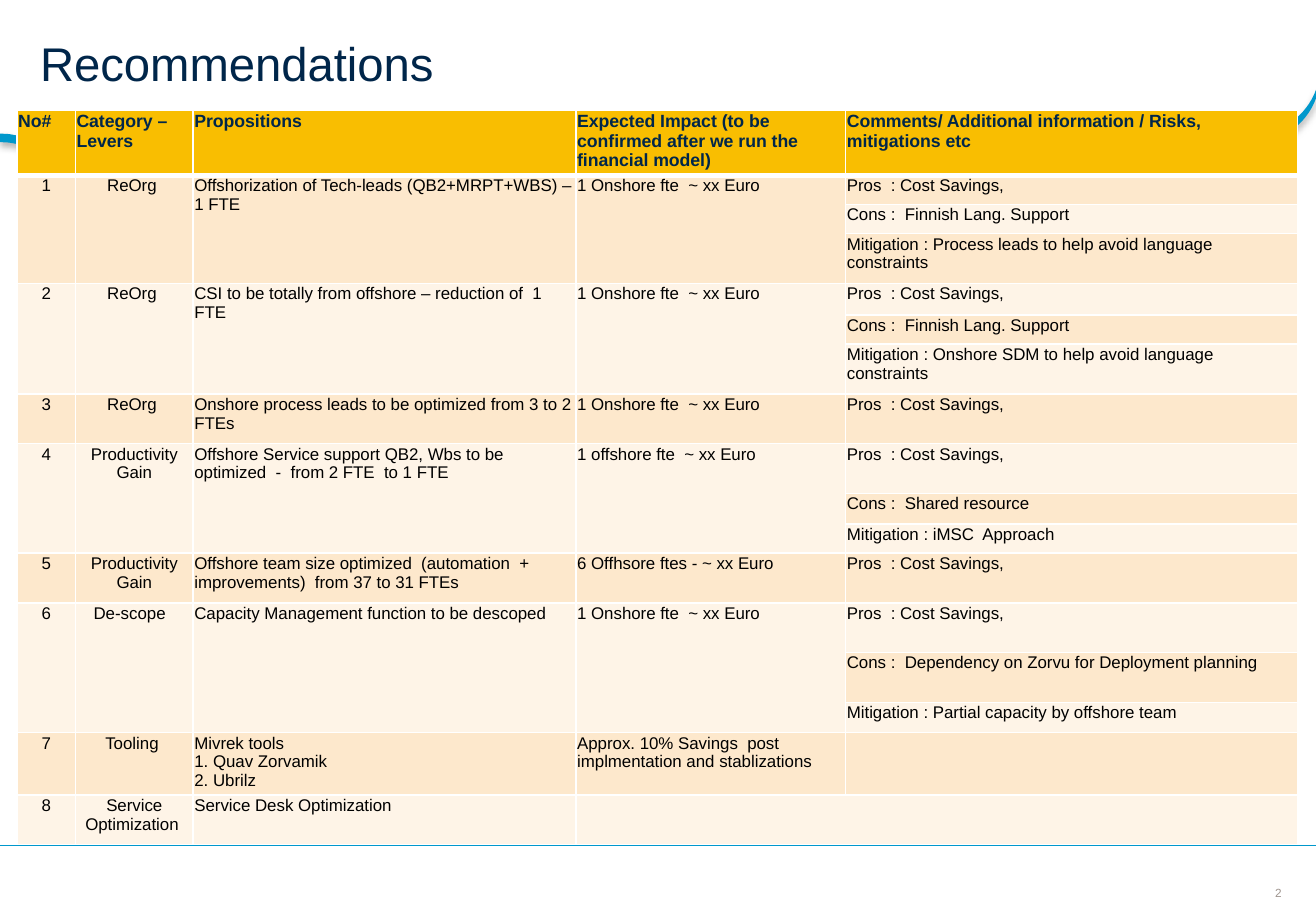
"""Build the Recommendations slide with its table of propositions."""
from dataclasses import dataclass
from typing import NamedTuple

from lxml.etree import SubElement
from pptx import Presentation
from pptx.dml.color import RGBColor
from pptx.enum.text import MSO_ANCHOR as Anchor, PP_ALIGN as Align
from pptx.oxml.ns import qn
from pptx.util import Inches, Pt

NAVY = RGBColor(0x00, 0x26, 0x4A)
BLUE = RGBColor(0x00, 0x98, 0xCC)
GOLD = RGBColor(0xF9, 0xBE, 0x01)
PEACH = RGBColor(0xFD, 0xE8, 0xCC)
CREAM = RGBColor(0xFE, 0xF4, 0xE7)
BLACK = RGBColor(0, 0, 0)
WHITE = RGBColor(0xFF, 0xFF, 0xFF)
GREY = RGBColor(0x9F, 0x95, 0x8F)
FONT = "Arial"
WIDTH, HEIGHT = 10.83, 7.5
COLUMNS = [0.48, 0.97, 3.15, 2.22, 3.72]
ROWS = [0.41, 0.24, 0.24, 0.41, 0.26, 0.24, 0.41, 0.41, 0.41,
        0.25, 0.24, 0.41, 0.41, 0.41, 0.25, 0.41, 0.41]
HEADERS = ["No#", "Category – Levers", "Propositions",
           "Expected Impact (to be confirmed after we run the financial model)",
           "Comments/ Additional information / Risks, mitigations etc"]
ONSHORE = "1 Onshore fte  ~ xx Euro"
PROS = "Pros  : Cost Savings,"
FINNISH = "Cons :  Finnish Lang. Support"


class Proposition(NamedTuple):
    category: str
    proposal: str
    impact: str
    comments: tuple[str, ...]


@dataclass
class Label:
    text: str
    left: float
    top: float
    width: float
    height: float
    size: float
    color: RGBColor
    align: Align
    margins: tuple[float, float, float, float]
    wrap: bool
    spacing: float


class Curve(NamedTuple):
    points: tuple[tuple[float, float], ...]

    def sample(self, steps: int = 16) -> list[tuple[float, float]]:
        weights = [((1 - t) ** 3, 3 * t * (1 - t) ** 2, 3 * t * t * (1 - t), t ** 3)
                   for t in (step / steps for step in range(steps + 1))]
        return [tuple(sum(w * point[axis] for w, point in zip(weight, self.points))
                      for axis in (0, 1)) for weight in weights]


PROPOSITIONS = [
    Proposition("ReOrg ", "Offshorization of Tech-leads (QB2+MRPT+WBS) – 1 FTE", ONSHORE,
                (PROS, FINNISH,
                 "Mitigation : Process leads to help avoid language constraints")),
    Proposition("ReOrg ", "CSI to be totally from offshore – reduction of  1 FTE", ONSHORE,
                (PROS, FINNISH,
                 "Mitigation : Onshore SDM to help avoid language constraints")),
    Proposition("ReOrg ", "Onshore process leads to be optimized from 3 to 2 FTEs",
                ONSHORE, (PROS,)),
    Proposition("Productivity Gain",
                "Offshore Service support QB2, Wbs to be optimized  -  from 2 FTE  to 1 FTE",
                "1 offshore fte  ~ xx Euro",
                (PROS, "Cons :  Shared resource", "Mitigation : iMSC  Approach")),
    Proposition("Productivity Gain",
                "Offshore team size optimized  (automation  + improvements)  from 37 to 31 FTEs",
                "6 Offhsore ftes - ~ xx Euro", (PROS,)),
    Proposition("De-scope  ", "Capacity Management function to be descoped", ONSHORE,
                (PROS, "Cons :  Dependency on Zorvu for Deployment planning",
                 "Mitigation : Partial capacity by offshore team")),
    Proposition("Tooling ", "Mivrek tools   \n1. Quav Zorvamik \n2. Ubrilz",
                "Approx. 10% Savings  post implmentation and stablizations", ("",)),
    Proposition("Service Optimization ", "Service Desk Optimization", "", ("",)),
]
LABELS = [
    Label("2", 10.46, 7.29, 0.12, 0.12, 7, GREY, Align.CENTER, (0, 0, 0, 0), False, 1.0),
    Label("Recommendations", 0, 0, WIDTH, 1.1, 28, NAVY, Align.LEFT,
          (0.33, 0.04, 0.18, 0.04), True, 0.85),
]
RIBBON = [
    Curve(((0, 1.1), (0.41, 1.1), (0.52, 1.47), (0.52, 1.47))),
    Curve(((0.52, 1.47), (0.52, 1.47), (0.64, 1.1), (1.05, 1.1))),
    Curve(((10.3, 1.1), (10.72, 1.1), (10.83, 0.74), (10.83, 0.74))),
]
RIBBON_DEPTH = 0.07


def style_span(span, size: float, color: RGBColor, bold: bool = False) -> None:
    span.font.name, span.font.size, span.font.bold = FONT, Pt(size), bold
    span.font.color.rgb = color


def add_label(page, label: Label) -> None:
    box = page.shapes.add_textbox(*map(Inches, (label.left, label.top, label.width, label.height)))
    frame = box.text_frame
    frame.word_wrap, frame.vertical_anchor = label.wrap, Anchor.MIDDLE
    (frame.margin_left, frame.margin_top,
     frame.margin_right, frame.margin_bottom) = map(Inches, label.margins)
    para = frame.paragraphs[0]
    para.text, para.alignment, para.line_spacing = label.text, label.align, label.spacing
    style_span(para.runs[0], label.size, label.color)


def add_ribbon(page) -> None:
    upper = [point for curve in RIBBON for point in curve.sample()]
    lower = [(x, y + RIBBON_DEPTH) for x, y in reversed(upper)]
    outline = [(Inches(x), Inches(y)) for x, y in upper + lower]
    builder = page.shapes.build_freeform(*outline[0])
    builder.add_line_segments(outline[1:], close=True)
    ribbon = builder.convert_to_shape()
    ribbon.fill.solid()
    ribbon.fill.fore_color.rgb = BLUE
    ribbon.line.fill.background()
    ribbon.shadow.inherit = False
    effects = ribbon._element.spPr.find(qn("a:effectLst"))
    shadow = SubElement(effects, qn("a:outerShdw"), blurRad=str(Pt(4)), dist=str(Pt(2)),
                        dir="5400000", algn="t", rotWithShape="0")
    tint = SubElement(shadow, qn("a:srgbClr"), val=str(BLACK))
    SubElement(tint, qn("a:alpha"), val="31000")


def add_rule(page, y: float) -> None:
    rule = page.shapes.add_connector(1, Inches(WIDTH), Inches(y), 0, Inches(y))
    rule.line.color.rgb, rule.line.width = BLUE, Pt(0.75)
    SubElement(rule._element.spPr, qn("a:effectLst"))


def style_cell(cell, row: int) -> None:
    cell.margin_left = cell.margin_top = cell.margin_right = Inches(0.01)
    cell.margin_bottom = 0
    thick = {0: "B", 1: "T"}.get(row)
    for side in "LRTB":
        edge = SubElement(cell._tc.get_or_add_tcPr(), qn(f"a:ln{side}"),
                          w=str(Pt(3 if side == thick else 1)))
        SubElement(SubElement(edge, qn("a:solidFill")), qn("a:srgbClr"), val=str(WHITE))
    cell.fill.solid()
    cell.fill.fore_color.rgb = GOLD if row == 0 else PEACH if row % 2 else CREAM
    para = cell.text_frame.paragraphs[0]
    if not para.runs:
        SubElement(para._p, qn("a:endParaRPr"), sz="1000")


def write_cell(cell, text: str, header: bool = False, centred: bool = False) -> None:
    para = cell.text_frame.paragraphs[0]
    para.text = text
    para.alignment = Align.CENTER if centred else Align.LEFT
    for span in para.runs:
        style_span(span, 10.5 if header else 10, NAVY if header else BLACK, header)
    for line_break in para._p.findall(qn("a:br")):
        SubElement(line_break, qn("a:rPr"), sz="1000")


def add_propositions(page) -> None:
    table = page.shapes.add_table(len(ROWS), len(COLUMNS), Inches(0.14), Inches(0.91),
                                  Inches(sum(COLUMNS)), Inches(sum(ROWS))).table
    table.horz_banding = False
    for column, width in zip(table.columns, COLUMNS):
        column.width = Inches(width)
    for line, height in zip(table.rows, ROWS):
        line.height = Inches(height)
    for column, text in enumerate(HEADERS):
        write_cell(table.cell(0, column), text, header=True)
    row = 1
    for number, item in enumerate(PROPOSITIONS, 1):
        last = row + len(item.comments) - 1
        for column, text in enumerate((str(number), item.category, item.proposal, item.impact)):
            write_cell(table.cell(row, column), text, centred=column < 2)
            if last > row:
                table.cell(row, column).merge(table.cell(last, column))
        for offset, comment in enumerate(item.comments):
            write_cell(table.cell(row + offset, 4), comment)
        if not item.impact:
            table.cell(row, 3).merge(table.cell(row, 4))
        row = last + 1
    for row in range(len(ROWS)):
        for column in range(len(COLUMNS)):
            style_cell(table.cell(row, column), row)


def main() -> None:
    deck = Presentation()
    deck.slide_width, deck.slide_height = Inches(WIDTH), Inches(HEIGHT)
    page = deck.slides.add_slide(deck.slide_layouts[6])
    add_ribbon(page)
    add_rule(page, 6.96)
    for label in LABELS:
        add_label(page, label)
    add_propositions(page)
    deck.save("out.pptx")


if __name__ == "__main__":
    main()
